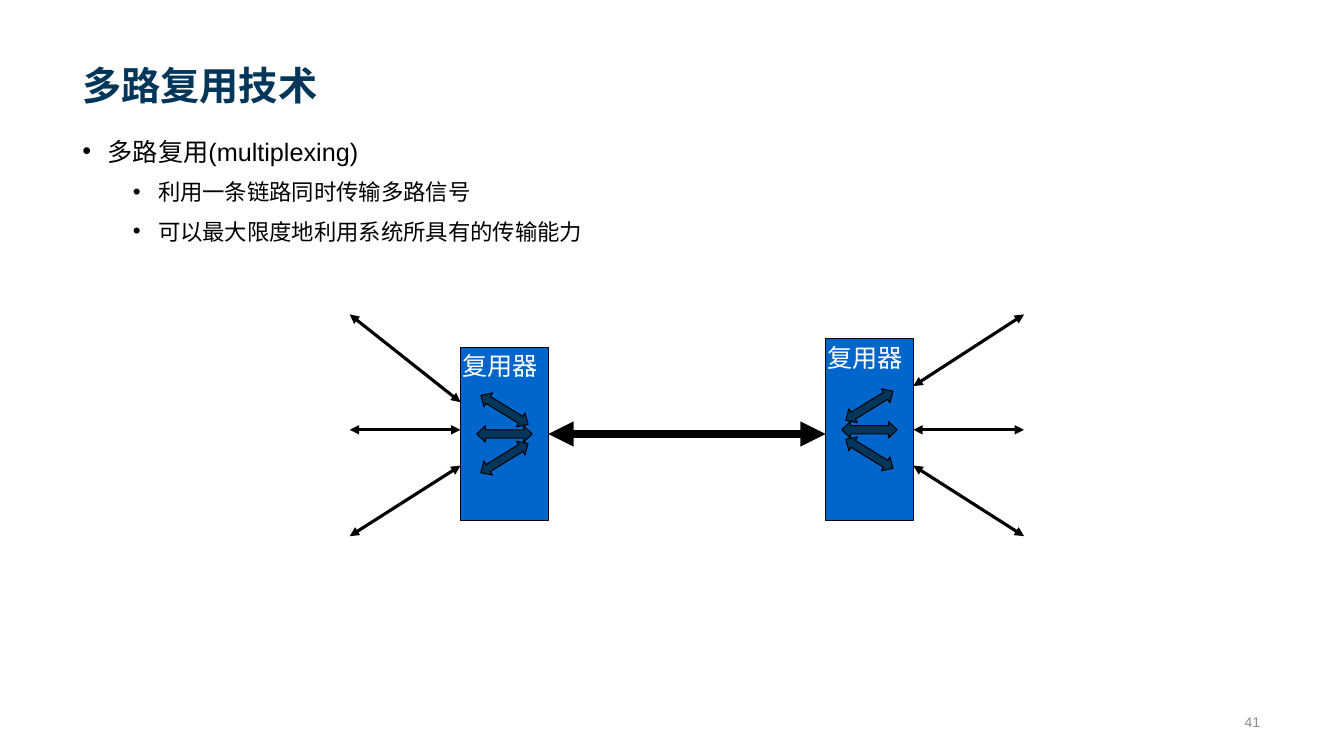
"""Build the multiplexing slide with two multiplexers joined by one shared link."""
from dataclasses import dataclass

from lxml import etree
from pptx import Presentation
from pptx.dml.color import RGBColor
from pptx.enum import shapes, text
from pptx.oxml.ns import qn
from pptx.util import Pt


@dataclass(frozen=True)
class Theme:
    font: str = "Arial"
    navy: str = "003659"
    blue: str = "0066CC"
    black: str = "000000"
    white: str = "FFFFFF"
    grey: str = "8C8C8C"
    title: int = 28
    body: int = 18
    detail: int = 16
    number: int = 10
    outline: float = 0.75
    branch: float = 2.25
    trunk: float = 6


@dataclass(frozen=True)
class TextBox:
    frame: tuple[float, float, float, float]
    words: str
    size: int
    color: str
    bold: bool = False
    anchor: text.MSO_ANCHOR = text.MSO_ANCHOR.TOP
    align: text.PP_ALIGN = text.PP_ALIGN.LEFT
    wrap: bool = True


@dataclass(frozen=True)
class Bullet:
    words: str
    level: int
    size: int
    indent: float
    before: float


@dataclass(frozen=True)
class Multiplexer:
    left: float
    top: float
    height: float
    label: tuple[float, float]
    tip_x: float
    port_ys: tuple[float, float, float]
    outward: int

    @property
    def middle(self) -> float:
        return self.top + self.height / 2

    @property
    def port_x(self) -> float:
        return self.left + (MUX_WIDTH if self.outward > 0 else 0)


THEME = Theme()
MUX_WIDTH = 62.7
LABEL_SIZE = (68.4, 29)
ARROW_WIDTH, ARROW_HEIGHT, ARROW_STEP, ARROW_ANGLE = 39.6, 11.7, 17.2, 31.6
TIP_YS = (224.6, 307, 383)
LEFT_MUX = Multiplexer(329, 248, 124, (323.3, 247), 249.8, (287.3, 307, 332.6), -1)
RIGHT_MUX = Multiplexer(589.7, 242, 130, (583.9, 241.2), 731.5, (275.8, 307, 332.6), 1)
TEXTS = (
    TextBox((51.8, 10.1, 855.4, 70.6), "多路复用技术", THEME.title, THEME.navy, True, text.MSO_ANCHOR.BOTTOM),
    TextBox((612, 504.7, 295.2, 21.6), "41", THEME.number, THEME.grey, False,
            text.MSO_ANCHOR.MIDDLE, text.PP_ALIGN.RIGHT),
)
BODY_FRAME = (51.8, 89.3, 855.4, 393.8)
BULLETS = (
    Bullet("多路复用(multiplexing)", 0, THEME.body, 18, 0),
    Bullet("利用一条链路同时传输多路信号", 1, THEME.detail, 54, 5),
    Bullet("可以最大限度地利用系统所具有的传输能力", 1, THEME.detail, 54, 5),
)


def apply(target, values: dict) -> None:
    """Set each named attribute on the target."""
    for name, value in values.items():
        setattr(target, name, value)


def style_font(font, size: int, color: str, bold: bool = False) -> None:
    """Apply the theme face with a size and colour."""
    apply(font, {"name": THEME.font, "size": Pt(size), "bold": bold})
    font.color.rgb = RGBColor.from_string(color)


def add_text(s, box: TextBox) -> None:
    """Add a single-line text box."""
    tf = s.shapes.add_textbox(*map(Pt, box.frame)).text_frame
    apply(tf, {"word_wrap": box.wrap, "vertical_anchor": box.anchor})
    p = tf.paragraphs[0]
    p.alignment = box.align
    r = p.add_run()
    r.text = box.words
    style_font(r.font, box.size, box.color, box.bold)


def add_bullets(s) -> None:
    """Add the bulleted body text."""
    tf = s.shapes.add_textbox(*map(Pt, BODY_FRAME)).text_frame
    tf.word_wrap = True
    for i, bullet in enumerate(BULLETS):
        p = tf.add_paragraph() if i else tf.paragraphs[0]
        apply(p, {"level": bullet.level, "line_spacing": 1.2, "space_before": Pt(bullet.before)})
        props = p._p.get_or_add_pPr()
        props.set("marL", str(Pt(bullet.indent)))
        props.set("indent", str(Pt(-18)))
        etree.SubElement(props, qn("a:buFont"), typeface=THEME.font)
        etree.SubElement(props, qn("a:buChar"), char="•")
        r = p.add_run()
        r.text = bullet.words
        style_font(r.font, bullet.size, THEME.black)


def add_block(s, kind: shapes.MSO_SHAPE, frame: tuple, fill: str):
    """Add an outlined shape with a flat fill."""
    sp = s.shapes.add_shape(kind, *map(Pt, frame))
    sp.shadow.inherit = False
    sp.fill.solid()
    sp.fill.fore_color.rgb = RGBColor.from_string(fill)
    sp.line.color.rgb = RGBColor.from_string(THEME.black)
    sp.line.width = Pt(THEME.outline)
    return sp


def add_link(s, start: tuple[float, float], end: tuple[float, float], width: float):
    """Add a straight line with a triangle at both ends."""
    link = s.shapes.add_connector(shapes.MSO_CONNECTOR.STRAIGHT, *map(Pt, start + end))
    link.line.color.rgb = RGBColor.from_string(THEME.black)
    link.line.width = Pt(width)
    ln = link.line._get_or_add_ln()
    for tag in ("a:headEnd", "a:tailEnd"):
        etree.SubElement(ln, qn(tag), type="triangle")
    etree.SubElement(link._element.spPr, qn("a:effectLst"))
    return link


def add_multiplexer(s, mux: Multiplexer):
    """Add a multiplexer with its label, inner arrows and outer branches."""
    box = add_block(s, shapes.MSO_SHAPE.RECTANGLE, (mux.left, mux.top, MUX_WIDTH, mux.height), THEME.blue)
    add_text(s, TextBox(mux.label + LABEL_SIZE, "复用器", THEME.body, THEME.white, wrap=False))
    for step in (0, 1, -1):
        left = mux.left + (MUX_WIDTH - ARROW_WIDTH) / 2
        top = mux.middle + step * ARROW_STEP - ARROW_HEIGHT / 2
        arrow = add_block(s, shapes.MSO_SHAPE.LEFT_RIGHT_ARROW,
                          (left, top, ARROW_WIDTH, ARROW_HEIGHT), THEME.navy)
        arrow.adjustments[1] = 0.53
        arrow.rotation = mux.outward * step * ARROW_ANGLE
    for tip_y, port_y in zip(TIP_YS, mux.port_ys):
        link = add_link(s, (mux.tip_x, tip_y), (mux.port_x, port_y), THEME.branch)
        if port_y == mux.middle:
            link.end_connect(box, 3 if mux.outward > 0 else 1)
    return box


def main() -> None:
    """Build and save the slide."""
    prs = Presentation()
    apply(prs, {"slide_width": Pt(960), "slide_height": Pt(540)})
    s = prs.slides.add_slide(prs.slide_layouts[6])
    for box in TEXTS:
        add_text(s, box)
    add_bullets(s)
    left_box, _ = [add_multiplexer(s, mux) for mux in (LEFT_MUX, RIGHT_MUX)]
    trunk_y = LEFT_MUX.middle
    trunk = add_link(s, (LEFT_MUX.left + MUX_WIDTH, trunk_y), (RIGHT_MUX.left, trunk_y), THEME.trunk)
    trunk.begin_connect(left_box, 3)
    prs.save("out.pptx")


if __name__ == "__main__":
    main()
